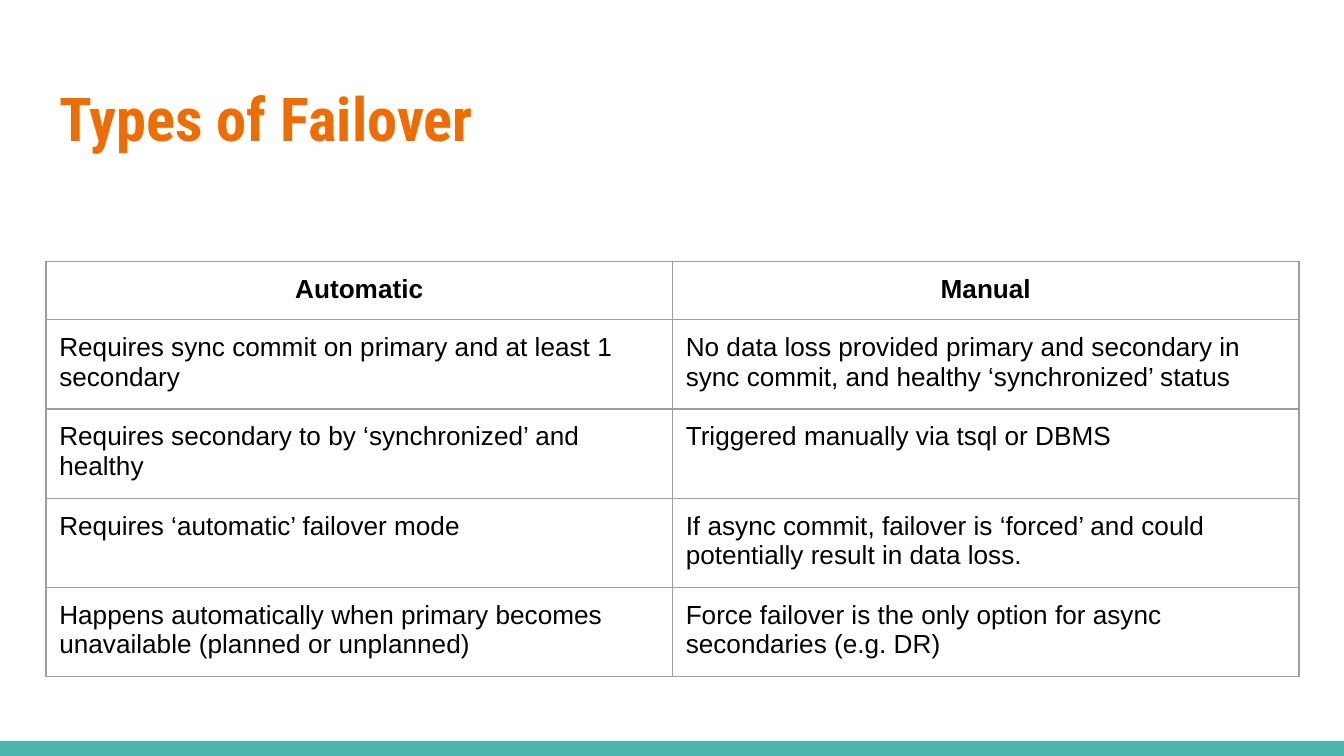
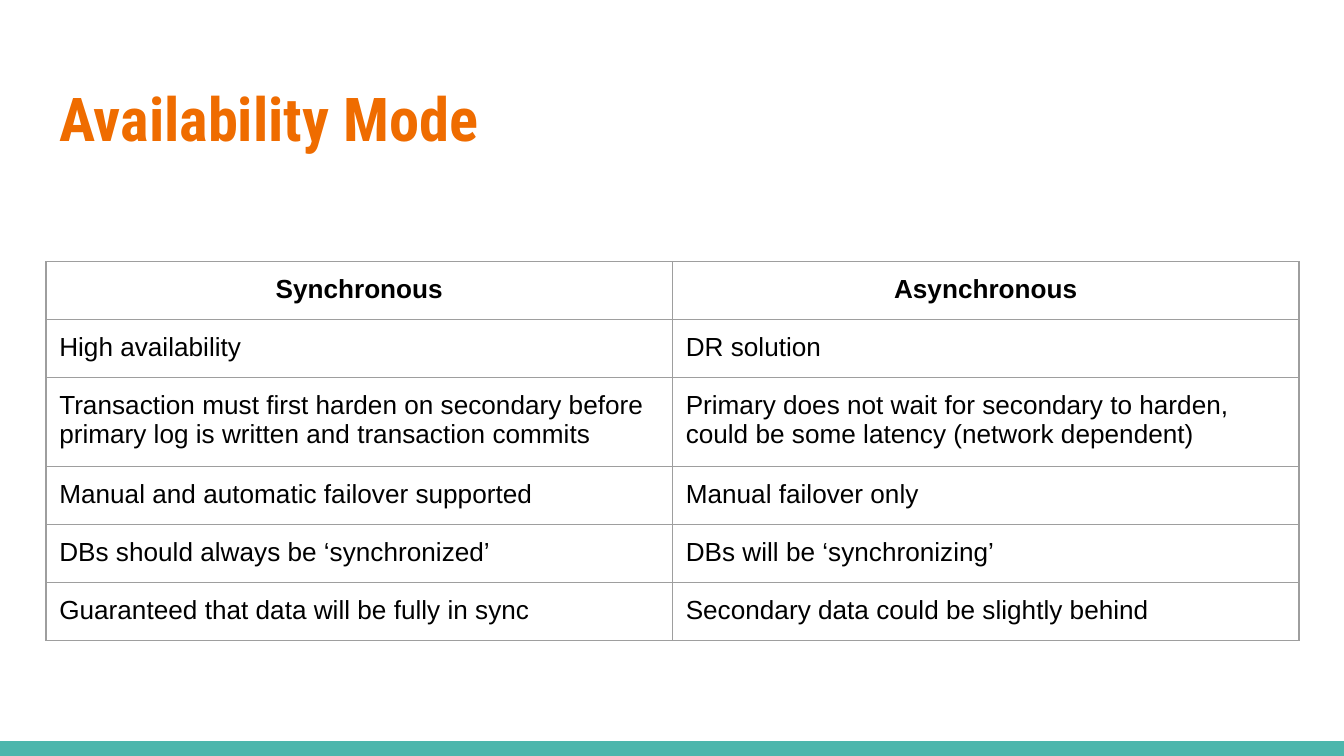
from lxml import etree
from pptx import Presentation
from pptx import util as u
from pptx.dml import color
from pptx.enum import shapes, text
from pptx.oxml import ns

ORANGE = "EF6C00"
TEAL = "4DB6AC"
GREY = "9E9E9E"
BLACK = "000000"
MARGIN = u.Cm(0.87)
INSET = u.Cm(0.25)
COLUMN_WIDTH = u.Cm(11.84)
ROW_HEIGHT = u.Cm(1.06)
BAND_HEIGHT = u.Cm(0.28)

SLIDES = [
    ("Types of Failover", [
        ("Automatic", "Manual"),
        ("Requires sync commit on primary and at least 1 secondary",
         "No data loss provided primary and secondary in sync commit, and healthy ‘synchronized’ status"),
        ("Requires secondary to by ‘synchronized’ and healthy",
         "Triggered manually via tsql or DBMS"),
        ("Requires ‘automatic’ failover mode",
         "If async commit, failover is ‘forced’ and could potentially result in data loss."),
        ("Happens automatically when primary becomes unavailable (planned or unplanned)",
         "Force failover is the only option for async secondaries (e.g. DR)"),
    ]),
    ("Availability Mode", [
        ("Synchronous", "Asynchronous"),
        ("High availability", "DR solution"),
        ("Transaction must first harden on secondary before primary log is written and transaction commits",
         "Primary does not wait for secondary to harden, could be some latency (network dependent)"),
        ("Manual and automatic failover supported", "Manual failover only"),
        ("DBs should always be ‘synchronized’", "DBs will be ‘synchronizing’"),
        ("Guaranteed that data will be fully in sync", "Secondary data could be slightly behind"),
    ]),
]


def paint(target, hex_color):
    if hasattr(target, "solid"):
        target.solid()
        target.fore_color.rgb = color.RGBColor.from_string(hex_color)
    else:
        target.color.rgb = color.RGBColor.from_string(hex_color)


def write(holder, wording, font_name, size, hex_color, bold):
    frame = holder.text_frame
    frame.text = wording
    frame.word_wrap = True
    for side in ("margin_left", "margin_top", "margin_right", "margin_bottom"):
        setattr(holder if hasattr(holder, side) else frame, side, INSET)
    font = frame.paragraphs[0].runs[0].font
    font.name = font_name
    font.size = u.Pt(size)
    font.bold = bold
    paint(font, hex_color)


presentation = Presentation()
presentation.slide_width = u.Cm(25.4)
presentation.slide_height = u.Cm(14.29)

for heading, rows in SLIDES:
    slide = presentation.slides.add_slide(presentation.slide_layouts[6])
    paint(slide.background.fill, "FFFFFF")

    band = slide.shapes.add_shape(
        shapes.MSO_SHAPE.RECTANGLE, 0, presentation.slide_height - BAND_HEIGHT,
        presentation.slide_width, BAND_HEIGHT)
    band.shadow.inherit = False
    paint(band.fill, TEAL)
    band.line.fill.background()

    title = slide.shapes.add_textbox(MARGIN, u.Cm(1.24), 2 * COLUMN_WIDTH, u.Cm(1.96))
    write(title, heading, "Roboto Condensed", 32.4, ORANGE, True)
    title.text_frame.vertical_anchor = text.MSO_ANCHOR.MIDDLE

    table = slide.shapes.add_table(
        len(rows), 2, MARGIN, u.Cm(4.95), 2 * COLUMN_WIDTH, len(rows) * ROW_HEIGHT).table
    table.first_row = False
    table.horz_banding = False
    for column in table.columns:
        column.width = COLUMN_WIDTH
    for row_index, row in enumerate(rows):
        table.rows[row_index].height = ROW_HEIGHT
        for column_index, wording in enumerate(row):
            cell = table.cell(row_index, column_index)
            is_header = row_index == 0
            write(cell, wording, "Arial", 14, BLACK, is_header)
            if is_header:
                cell.text_frame.paragraphs[0].alignment = text.PP_ALIGN.CENTER
            properties = cell._tc.get_or_add_tcPr()
            for edge in ("a:lnL", "a:lnR", "a:lnT", "a:lnB"):
                border = etree.SubElement(properties, ns.qn(edge), w=str(u.Pt(0.75)))
                solid = etree.SubElement(border, ns.qn("a:solidFill"))
                etree.SubElement(solid, ns.qn("a:srgbClr"), val=GREY)
            cell.fill.background()

presentation.save("out.pptx")
